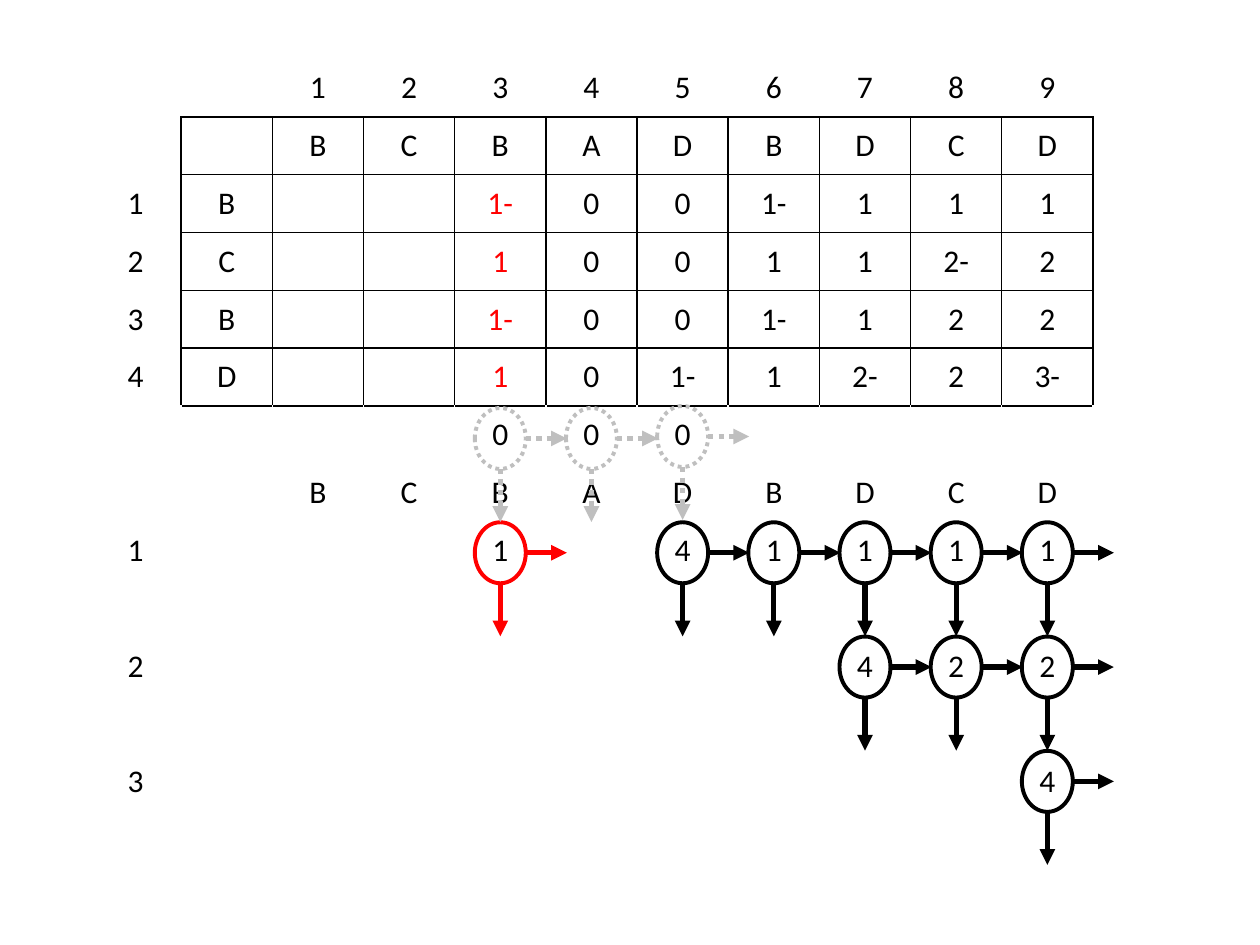
from lxml import etree
from pptx import Presentation
from pptx import util as u
from pptx.dml.color import RGBColor
from pptx.enum import dml, shapes, text
from pptx.oxml import parse_xml
from pptx.oxml.ns import nsdecls, qn

PX = 914400 / 126
BLACK, RED, GRAY, WHITE = "000000", "FF0000", "BFBFBF", "FFFFFF"


def px(length):
    return round(length * PX)


def set_line(line, color, width):
    """Solid for black and red, dotted for gray."""
    line.color.rgb = RGBColor.from_string(color)
    line.width = u.Pt(width)
    if color == GRAY:
        line.dash_style = dml.MSO_LINE.ROUND_DOT


deck = Presentation()
deck.slide_width, deck.slide_height = px(1260), px(945)
page = deck.slides.add_slide(deck.slide_layouts[6])

# Score table, with the labels of the node diagram in its lower rows; "_" is an empty cell
ROWS = [row.split() for row in """
_ _ 1 2 3  4 5  6  7  8  9
_ _ B C B  A D  B  D  C  D
1 B _ _ 1- 0 0  1- 1  1  1
2 C _ _ 1  0 0  1  1  2- 2
3 B _ _ 1- 0 0  1- 1  2  2
4 D _ _ 1  0 1- 1  2- 2  3-
_ _ _ _ 0  0 0  _  _  _  _
_ _ B C B  A D  B  D  C  D
1 _ _ _ 1  _ 4  1  1  1  1
_ _ _ _ _  _ _  _  _  _  _
2 _ _ _ _  _ _  _  4  2  2
_ _ _ _ _  _ _  _  _  _  _
3 _ _ _ _  _ _  _  _  _  4
""".strip().splitlines()]
LEFT, TOP, WIDTH, HEIGHT = 90, 59, 1003, 752
LAST_GRID_ROW = 5
RED_COLUMN = 4

table = page.shapes.add_table(len(ROWS), len(ROWS[0]), px(LEFT), px(TOP),
                              px(WIDTH), px(HEIGHT)).table
table.first_row = table.horz_banding = False
for column in table.columns:
    column.width = px(WIDTH / len(ROWS[0]))
for row in table.rows:
    row.height = px(HEIGHT / len(ROWS))

for r, values in enumerate(ROWS):
    for c, value in enumerate(values):
        cell = table.cell(r, c)
        cell.vertical_anchor = text.MSO_ANCHOR.MIDDLE
        para = cell.text_frame.paragraphs[0]
        para.alignment = text.PP_ALIGN.CENTER
        if value != "_":
            para.text = value
        in_red = c == RED_COLUMN and 2 <= r <= LAST_GRID_ROW
        para.font.size = u.Pt(18)
        para.font.name = "Calibri"
        para.font.color.rgb = RGBColor.from_string(RED if in_red else BLACK)

        # An edge is black where it touches a cell of the ruled grid
        neighbours = {"L": (r, c - 1), "R": (r, c + 1), "T": (r - 1, c), "B": (r + 1, c)}
        for side, neighbour in neighbours.items():
            if r > LAST_GRID_ROW + 1 or (r == LAST_GRID_ROW + 1 and side == "B"):
                continue
            ruled = any(1 <= y <= LAST_GRID_ROW and 1 <= x < len(values)
                        for y, x in ((r, c), neighbour))
            cell._tc.get_or_add_tcPr().append(parse_xml(
                f'<a:ln{side} {nsdecls("a")} w="12700"><a:solidFill>'
                f'<a:srgbClr val="{BLACK if ruled else WHITE}"/>'
                f'</a:solidFill></a:ln{side}>'))
        cell.fill.background()

# Nodes: table column, level, colour
NODES = [(4, 1, RED)]
NODES += [(c, 1, BLACK) for c in range(6, 11)]
NODES += [(c, 2, BLACK) for c in range(8, 11)]
NODES += [(10, 3, BLACK)]
NODES += [(c, 0, GRAY) for c in (5, 4, 6)]
NODE_W, NODE_H = 51, 61
ARROW_RIGHT, ARROW_DOWN = 41, 53
FIRST_LEVEL, LEVEL_STEP = 408, 114.3

for column, level, color in NODES:
    mid_x = LEFT + (column + 0.5) * WIDTH / len(ROWS[0])
    top = FIRST_LEVEL + level * LEVEL_STEP
    if (column, level) == (6, 0):
        top -= 2
    mid_y, right, bottom = top + NODE_H / 2, mid_x + NODE_W / 2, top + NODE_H
    node = page.shapes.add_shape(shapes.MSO_SHAPE.OVAL, px(mid_x - NODE_W / 2), px(top),
                                 px(NODE_W), px(NODE_H))
    node.shadow.inherit = False
    node.fill.background()
    set_line(node.line, color, 2.25)

    for x1, y1, x2, y2 in ((right, mid_y, right + ARROW_RIGHT, mid_y),
                           (mid_x, bottom, mid_x, bottom + ARROW_DOWN)):
        arrow = page.shapes.add_connector(shapes.MSO_CONNECTOR.STRAIGHT,
                                          px(x1), px(y1), px(x2), px(y2))
        set_line(arrow.line, color, 3)
        etree.SubElement(arrow.line._get_or_add_ln(), qn("a:tailEnd"), type="triangle")
        etree.SubElement(arrow._element.spPr, qn("a:effectLst"))

deck.save("out.pptx")
